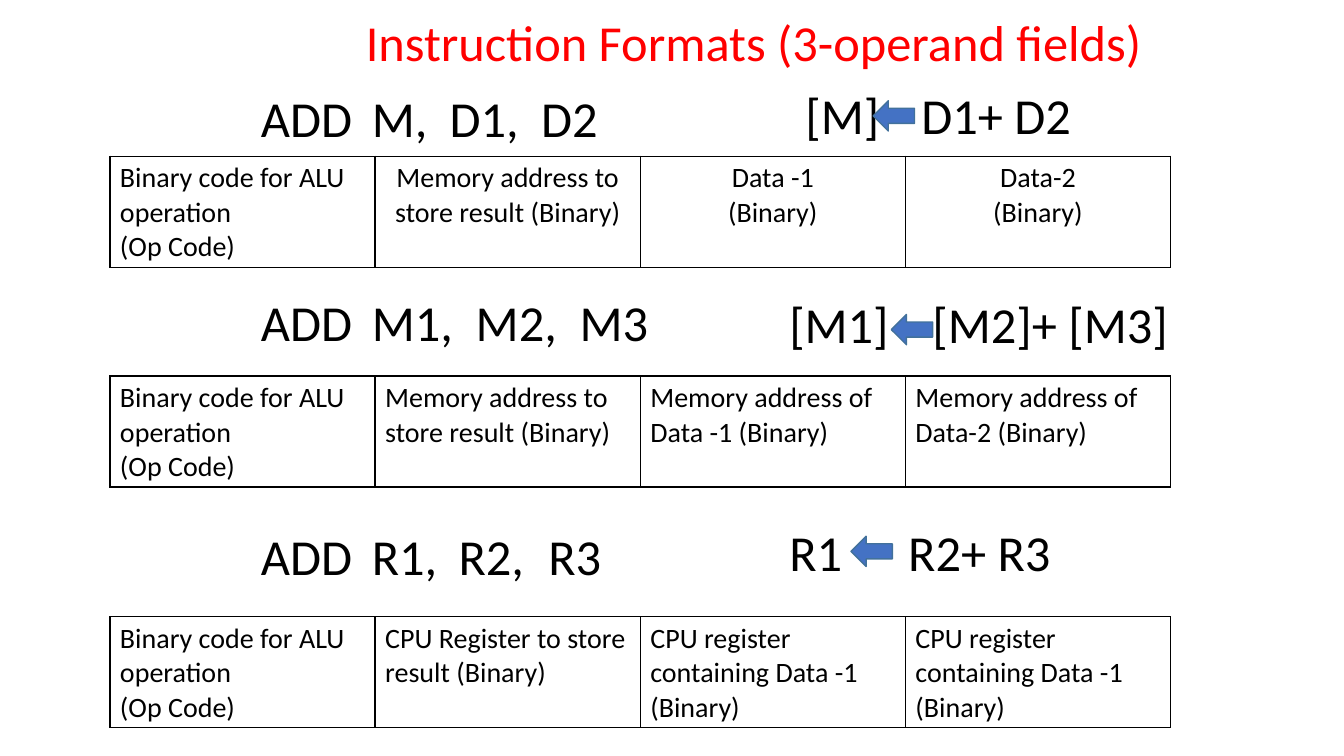
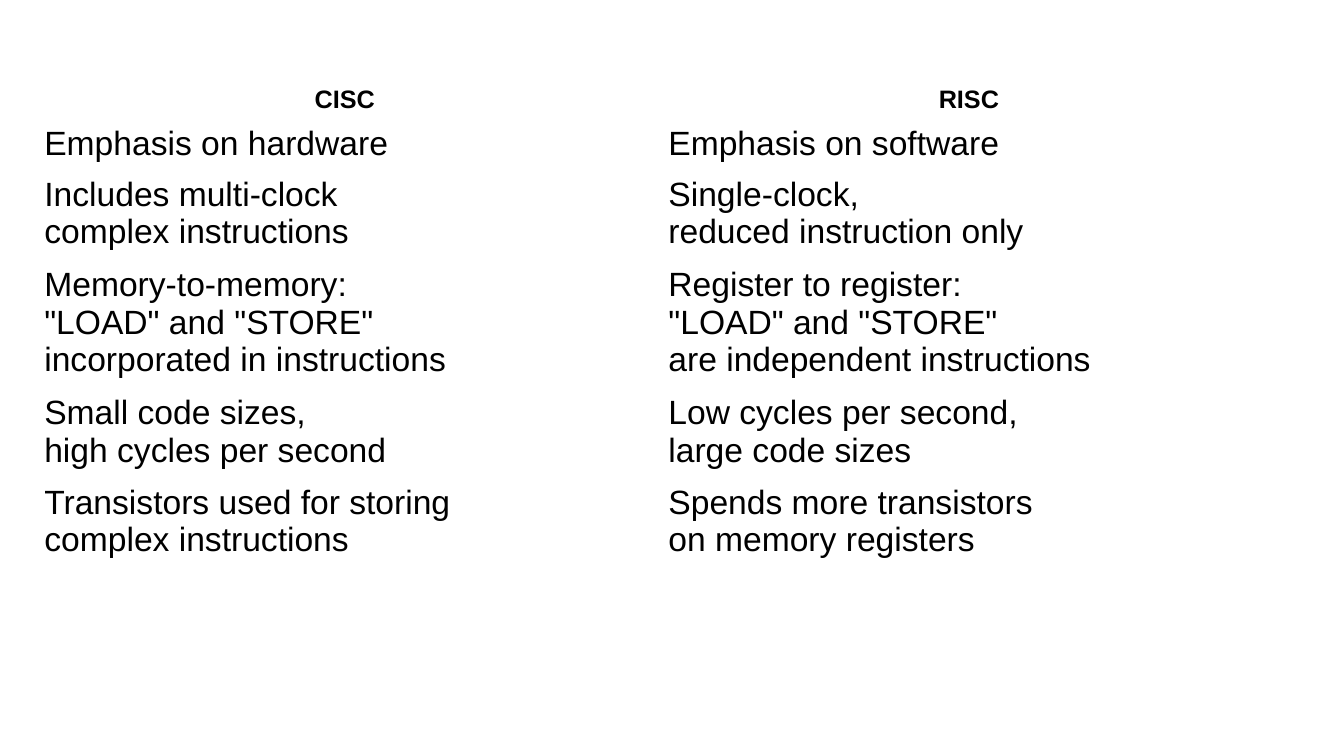
from lxml.etree import SubElement as Sub
from pptx import Presentation
from pptx.dml.color import RGBColor
from pptx.enum.shapes import MSO_SHAPE as Shape
from pptx.enum.text import MSO_ANCHOR as Anchor, PP_ALIGN as Align
from pptx.oxml.ns import qn
from pptx.util import Emu, Inches, Pt

WIDE, HIGH = 13.33, 7.5
BLACK, WHITE, RED = "000000", "FFFFFF", "FF0000"
BLUE, EDGE = "4472C4", "42719B"
BODY, PLAIN = "Calibri", "Arial"
LEFT, SPAN, TALL = 1.09, 10.52, 1.1
CODE = ["Binary code for ALU operation", "(Op Code)"]
STORE = "Memory address to store result (Binary)"

BANDS = [
    dict(top=1.55,
         order=("ADD\tM,\tD1,\tD2", (1.4, -0.65), (1.1, 1.87, 2.78)),
         result=("[M]\tD1+ D2", (6.8, -0.68), (1.15,)),
         arrow=(7.57, -0.55),
         cells=[CODE, [STORE], ["Data -1", "(Binary)"], ["Data-2", "(Binary)"]],
         mid=True),
    dict(top=3.73,
         order=("ADD\tM1,\tM2,\tM3", (1.4, -0.81), (1.1, 2.13, 3.16)),
         result=("[M1]\t[M2]+ [M3]", (6.64, -0.79), (1.42,)),
         arrow=(7.75, -0.61),
         cells=[CODE, [STORE], ["Memory address of Data -1 (Binary)"],
                ["Memory address of Data-2 (Binary)"]],
         mid=False),
    dict(top=6.12,
         order=("ADD\tR1,\tR2,\tR3", (1.4, -0.88), (1.1, 1.96, 2.85)),
         result=("R1\tR2+ R3", (6.64, -0.92), (1.18,)),
         arrow=(7.35, -0.8),
         cells=[CODE, ["CPU Register to store result (Binary)"]]
         + [["CPU register containing Data -1 (Binary)"]] * 2,
         mid=False),
]

PAIRS = [
    (0.41, "CISC ", "RISC "),
    (0.48, "Emphasis on hardware", "Emphasis on software"),
    (0.89, "Includes multi-clock\ncomplex instructions",
     "Single-clock,\nreduced instruction only"),
    (1.25, "Memory-to-memory:\n\"LOAD\" and \"STORE\"\nincorporated in instructions",
     "Register to register:\n\"LOAD\" and \"STORE\"\nare independent instructions"),
    (0.89, "Small code sizes,\nhigh cycles per second",
     "Low cycles per second,\nlarge code sizes"),
    (0.89, "Transistors used for storing\ncomplex instructions",
     "Spends more transistors\non memory registers"),
]


def tint(hue):
    return RGBColor.from_string(hue)


def style(para, size, face=BODY, hue=BLACK, bold=False):
    font = para.font
    font.size, font.name, font.bold = Pt(size), face, bold
    font.color.rgb = tint(hue)


def line(slide, text, box, hue=BLACK, stops=()):
    frame = slide.shapes.add_textbox(*map(Inches, box)).text_frame
    frame.word_wrap = True
    frame.vertical_anchor = Anchor.MIDDLE
    para = frame.paragraphs[0]
    para.text = text
    para.line_spacing = 0.9
    if stops:
        tabs = Sub(para._p.get_or_add_pPr(), qn("a:tabLst"))
        for stop in stops:
            Sub(tabs, qn("a:tab"), pos=str(int(Inches(stop))), algn="l")
    style(para, 36, hue=hue)


def arrow(slide, box):
    shape = slide.shapes.add_shape(Shape.LEFT_ARROW, *map(Inches, box))
    shape.shadow.inherit = False
    shape.fill.solid()
    shape.fill.fore_color.rgb = tint(BLUE)
    shape.line.color.rgb = tint(EDGE)
    shape.line.width = Pt(1)


def grid(slide, rows, cols, box):
    table = slide.shapes.add_table(rows, cols, *map(Inches, box)).table
    table.first_row = table.horz_banding = False
    for cell in table.iter_cells():
        cell.fill.solid()
        cell.fill.fore_color.rgb = tint(WHITE)
    return table


def border(cell):
    props = cell._tc.get_or_add_tcPr()
    for spot, side in enumerate(("lnL", "lnR", "lnT", "lnB")):
        edge = props.makeelement(qn(f"a:{side}"), {"w": str(int(Pt(1)))})
        fill = Sub(edge, qn("a:solidFill"))
        Sub(fill, qn("a:srgbClr"), val=BLACK)
        props.insert(spot, edge)


def fields(slide, cells, box, mid):
    table = grid(slide, 1, len(cells), box)
    for spot, (cell, texts) in enumerate(zip(table.iter_cells(), cells)):
        border(cell)
        frame = cell.text_frame
        for row, text in enumerate(texts):
            para = frame.add_paragraph() if row else frame.paragraphs[0]
            para.text = text
            para.alignment = Align.CENTER if mid and spot else Align.LEFT
            style(para, 20)


def band(slide, box, order, result, mark, cells, mid):
    left, top = box[:2]
    for text, (right, down), stops in (order, result):
        line(slide, text, (left + right, top + down, 4.17, 0.61), stops=stops)
    arrow(slide, (left + mark[0], top + mark[1], 0.41, 0.3))
    fields(slide, cells, box, mid)


def formats(slide):
    line(slide, "Instruction Formats (3-operand fields)",
         (3.53, 0.13, 9.06, 0.64), RED)
    for item in BANDS:
        band(slide, (LEFT, item["top"], SPAN, TALL), item["order"],
             item["result"], item["arrow"], item["cells"], item["mid"])


def versus(slide, box):
    table = grid(slide, len(PAIRS), 2, box)
    for spot, (tall, *texts) in enumerate(PAIRS):
        table.rows[spot].height = Inches(tall)
        head = spot == 0
        for cell, text in zip(table.rows[spot].cells, texts):
            cell.vertical_anchor = Anchor.MIDDLE
            cell.margin_left = cell.margin_right = Inches(0.08)
            cell.margin_top = cell.margin_bottom = Inches(0.04)
            para = cell.text_frame.paragraphs[0]
            para.text = text
            para.alignment = Align.CENTER if head else Align.LEFT
            style(para, 18 if head else 24, PLAIN, bold=head)


def main():
    deck = Presentation()
    deck.slide_width, deck.slide_height = Inches(WIDE), Inches(HIGH)
    blank = deck.slide_layouts[6]
    formats(deck.slides.add_slide(blank))
    total = sum(pair[0] for pair in PAIRS)
    versus(deck.slides.add_slide(blank), (0.36, 0.78, 12.38, total))
    deck.save("out.pptx")


if __name__ == "__main__":
    main()
